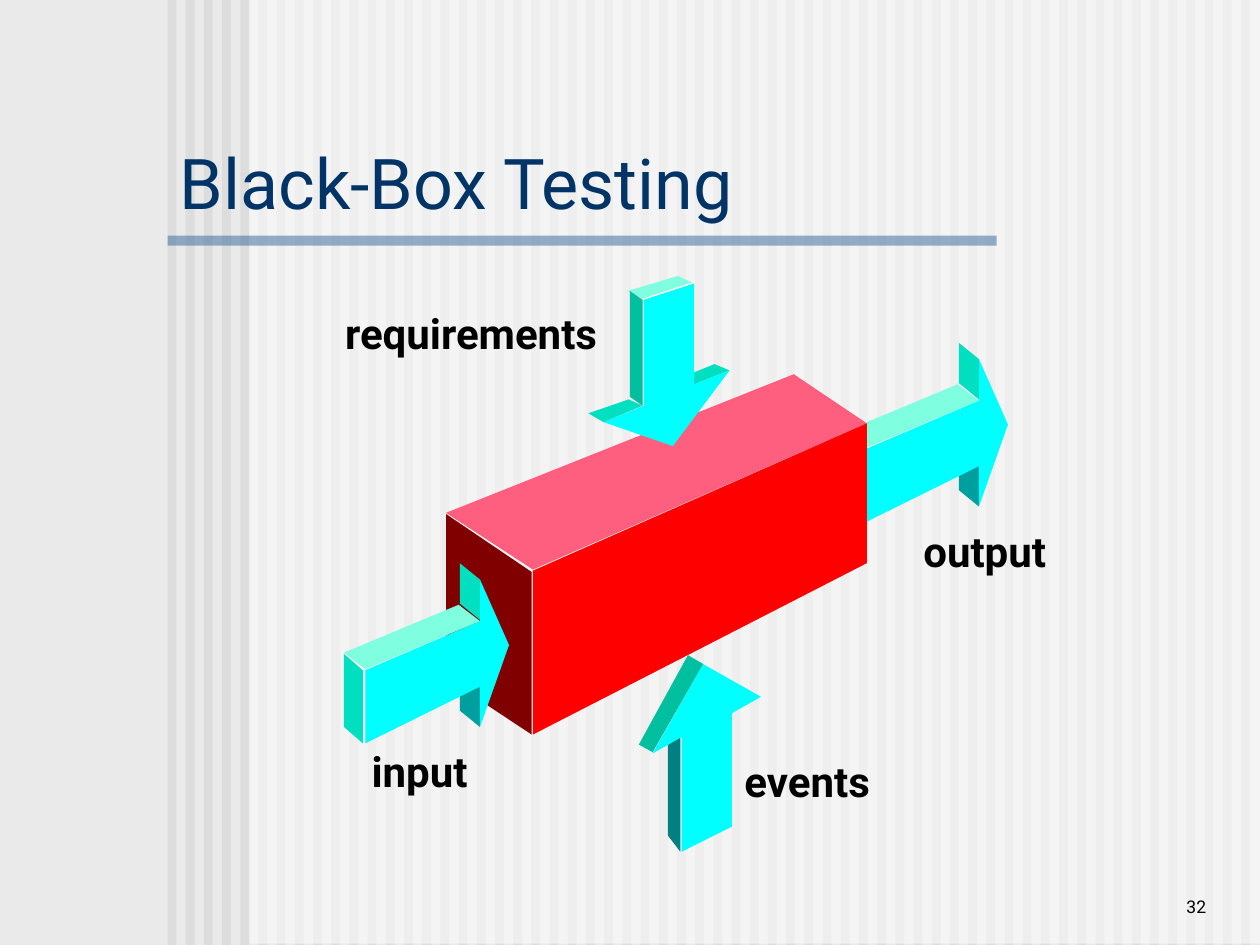
"""Build the black-box testing slide."""
import lxml.etree
import pptx
import pptx.dml.color
import pptx.enum.shapes
import pptx.enum.text
import pptx.oxml.ns
import pptx.util

THEME = {
    "font": "Roboto",
    "background": "EAEAEA", "stripe": "DDDDDD", "veil": "FFFFFF", "rule": "336699",
    "title": "003366", "text": "000000",
    "front": "00FFFF", "light": "7FFFDF", "edge": "00DFBF", "shade": "00BF9F",
    "dark": "009F9F", "deep": "008080",
    "box_end": "800000", "box_top": "FF5F7F", "box_side": "FF0000",
    "title_size": 40, "label_size": 24, "number_size": 10,
}
SLIDE_SIZE = (10, 7.5)
STRIPES = {"count": 60, "first": 1.33, "last": 9.85, "width": 0.07}
BANDS = [("veil", (1.98, -0.01, 8.02, 7.5)), ("rule", (1.33, 1.87, 6.58, 0.08))]

FLOW_ARROW = [
    ("dark", [(7.77, 4.02), (7.77, 3.7), (7.61, 3.57), (7.61, 3.89)]),
    ("front", [(7.77, 3.18), (6.86, 3.57), (6.86, 4.15), (7.77, 3.7), (7.77, 4.02),
               (8, 3.37), (7.77, 2.85)]),
    ("edge", [(6.84, 3.57), (6.84, 4.15), (6.69, 4.02), (6.69, 3.44)]),
    ("light", [(6.69, 3.43), (6.86, 3.56), (7.77, 3.18), (7.6, 3.05)]),
    ("edge", [(7.77, 2.85), (7.61, 2.72), (7.61, 3.04), (7.77, 3.17)]),
]
EVENTS_ARROW = [
    ("deep", [(5.4, 6.76), (5.4, 5.86), (5.3, 5.79), (5.3, 6.63)]),
    ("front", [(5.58, 5.27), (6.04, 5.53), (5.81, 5.66), (5.81, 6.56), (5.41, 6.76),
               (5.41, 5.85), (5.18, 5.98)]),
    ("shade", [(5.18, 5.97), (5.07, 5.91), (5.46, 5.2), (5.58, 5.27)]),
]
BOX = [
    ("box_end", [(3.54, 4.08), (4.22, 4.54), (4.22, 5.83), (3.54, 5.38)]),
    ("box_top", [(3.54, 4.07), (4.23, 4.52), (6.88, 3.36), (6.3, 2.97)]),
    ("box_side", [(4.23, 4.53), (4.23, 5.83), (6.88, 4.47), (6.88, 3.36)]),
]
REQUIREMENTS_ARROW = [
    ("light", [(4.98, 2.31), (5.1, 2.37), (5.49, 2.24), (5.38, 2.19)]),
    ("edge", [(5.51, 3.05), (5.79, 2.94), (5.67, 2.89), (5.4, 3)]),
    ("front", [(5.11, 2.38), (5.51, 2.25), (5.51, 3.05), (5.79, 2.94), (5.34, 3.54),
               (4.79, 3.35), (5.11, 3.22)]),
    ("edge", [(4.79, 3.35), (4.67, 3.28), (4.99, 3.17), (5.1, 3.22)]),
    ("shade", [(5, 3.15), (5.1, 3.22), (5.1, 2.38), (5, 2.31)]),
]
SOLIDS = [
    (FLOW_ARROW, (0, 0)),
    (EVENTS_ARROW, (0, 0)),
    (BOX, (0, 0)),
    (REQUIREMENTS_ARROW, (0, 0)),
    (FLOW_ARROW, (-3.96, 1.75)),
]
TITLE = ("Black-Box Testing", (1.33, 1.17, 5.68, 0.54))
NUMBER = ("32", (8.25, 6.83, 1.42, 0.5))
LABELS = [
    ("requirements", (2.64, 2.39, 2.31, 0.5)),
    ("events", (5.81, 5.95, 1.25, 0.5)),
    ("input", (2.85, 5.87, 1.01, 0.5)),
    ("output", (7.23, 4.12, 1.23, 0.5)),
]


def length(inches):
    """Turn inches into a length."""
    return pptx.util.Cm(inches * 2.54)


def color(name):
    """Look up a theme colour."""
    return pptx.dml.color.RGBColor.from_string(THEME[name])


def apply(target, values):
    """Set each attribute of the target from a dict."""
    for name, value in values.items():
        setattr(target, name, value)


def paint(shape, fill):
    """Give a shape a flat fill without line or shadow."""
    shape.shadow.inherit = False
    shape.fill.solid()
    shape.fill.fore_color.rgb = color(fill)
    shape.line.fill.background()


def add_bar(slide, fill, frame, opacity=None):
    """Add a plain rectangle, see-through if an opacity is given."""
    kind = pptx.enum.shapes.MSO_SHAPE.RECTANGLE
    shape = slide.shapes.add_shape(kind, *map(length, frame))
    paint(shape, fill)
    if opacity:
        tag = pptx.oxml.ns.qn("a:srgbClr")
        value = next(shape.fill._xPr.iter(tag))
        alpha = lxml.etree.SubElement(value, pptx.oxml.ns.qn("a:alpha"))
        alpha.set("val", str(opacity * 1000))


def add_solid(slide, faces, offset):
    """Add the faces of a solid, moved by an offset."""
    for fill, points in faces:
        corners = [(length(x + offset[0]), length(y + offset[1])) for x, y in points]
        builder = slide.shapes.build_freeform(*corners[0])
        builder.add_line_segments(corners[1:], close=True)
        paint(builder.convert_to_shape(), fill)


def add_text(slide, content, size, fill, frame_values, bold=False, align="LEFT"):
    """Add one line of text."""
    text, frame = content
    text_frame = slide.shapes.add_textbox(*map(length, frame)).text_frame
    apply(text_frame, frame_values)
    paragraph = text_frame.paragraphs[0]
    paragraph.alignment = getattr(pptx.enum.text.PP_ALIGN, align)
    run = paragraph.add_run()
    run.text = text
    apply(run.font, {"name": THEME["font"], "size": pptx.util.Pt(THEME[size]), "bold": bold})
    run.font.color.rgb = color(fill)


def main():
    """Build and save the presentation."""
    presentation = pptx.Presentation()
    width, height = map(length, SLIDE_SIZE)
    apply(presentation, {"slide_width": width, "slide_height": height})
    slide = presentation.slides.add_slide(presentation.slide_layouts[6])
    slide.background.fill.solid()
    slide.background.fill.fore_color.rgb = color("background")

    step = (STRIPES["last"] - STRIPES["first"]) / (STRIPES["count"] - 1)
    for index in range(STRIPES["count"]):
        left = STRIPES["first"] + index * step
        add_bar(slide, "stripe", (left, 0, STRIPES["width"], SLIDE_SIZE[1]))
    for fill, frame in BANDS:
        add_bar(slide, fill, frame, opacity=50)
    for faces, offset in SOLIDS:
        add_solid(slide, faces, offset)

    anchor = pptx.enum.text.MSO_ANCHOR
    add_text(slide, TITLE, "title_size", "title",
             {"word_wrap": True, "vertical_anchor": anchor.MIDDLE})
    add_text(slide, NUMBER, "number_size", "text",
             {"word_wrap": True, "vertical_anchor": anchor.BOTTOM}, align="RIGHT")
    fit = pptx.enum.text.MSO_AUTO_SIZE.SHAPE_TO_FIT_TEXT
    for label in LABELS:
        add_text(slide, label, "label_size", "text",
                 {"word_wrap": False, "auto_size": fit}, bold=True)
    presentation.save("out.pptx")


if __name__ == "__main__":
    main()
